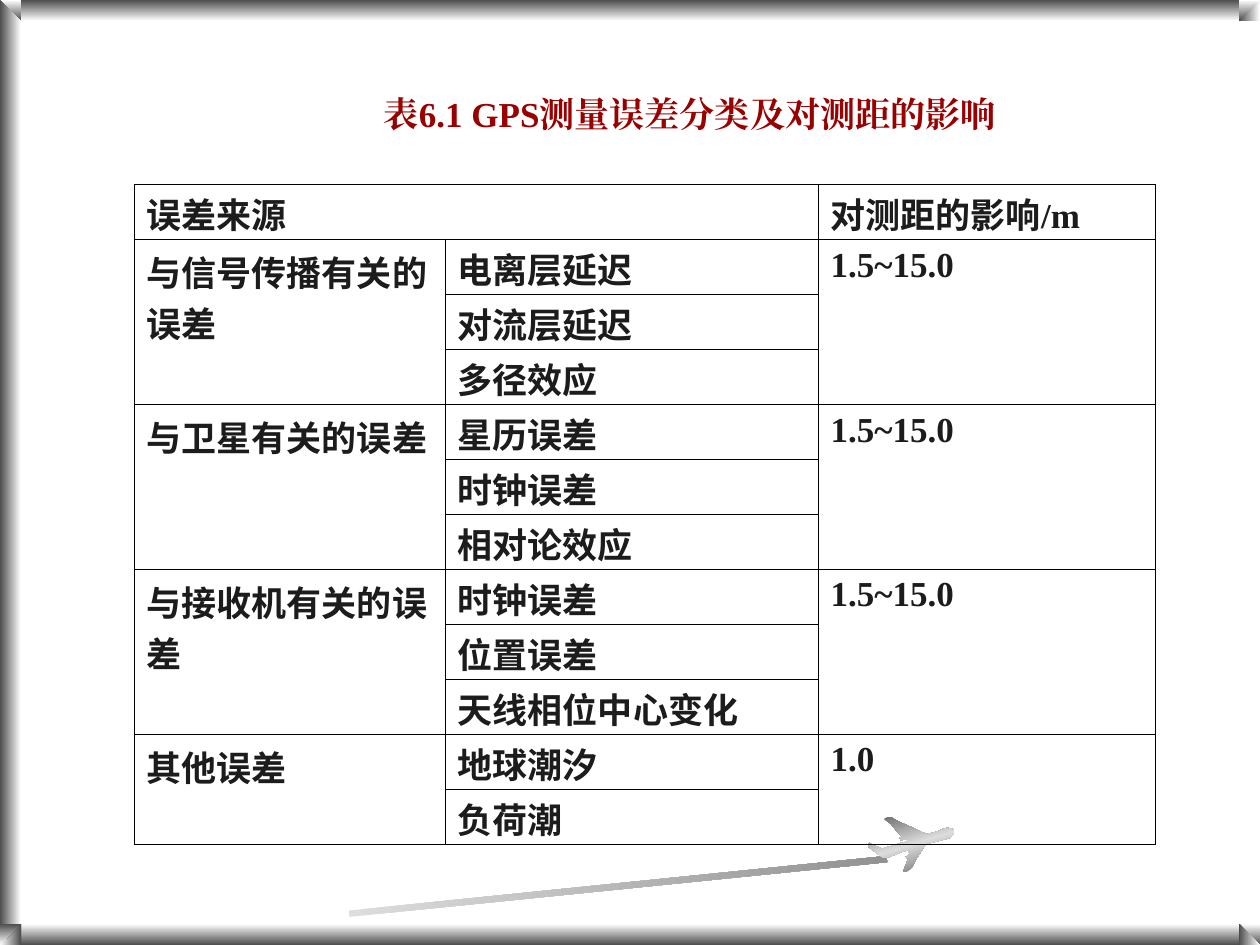
from lxml.etree import SubElement
from pptx import Presentation
from pptx.dml.color import RGBColor
from pptx.enum.shapes import MSO_SHAPE as Shape
from pptx.enum.text import MSO_ANCHOR as Anchor, MSO_AUTO_SIZE as AutoSize, PP_ALIGN as Align
from pptx.oxml.ns import qn
from pptx.util import Pt

FONT = "Times New Roman"
INK, RED, DARK, LIGHT = "1C1C1C", "990000", "4D4D4D", "FFFFFF"
WIDTH, HEIGHT, EDGE = 720, 540, 12
RIGHT, BOTTOM = WIDTH - EDGE, HEIGHT - EDGE

TITLE = "表6.1 GPS测量误差分类及对测距的影响"
HEADINGS = ("误差来源", "对测距的影响/m")
GROUPS = [
    ("与信号传播有关的误差", ["电离层延迟", "对流层延迟", "多径效应"], "1.5~15.0"),
    ("与卫星有关的误差", ["星历误差", "时钟误差", "相对论效应"], "1.5~15.0"),
    ("与接收机有关的误差", ["时钟误差", "位置误差", "天线相位中心变化"], "1.5~15.0"),
    ("其他误差", ["地球潮汐", "负荷潮"], "1.0"),
]
COLUMN_WIDTHS = (177.8, 213.1, 193)
ROW_HEIGHT = 31.43

# left, top, width, height, gradient colours, gradient angle
BARS = [
    (0, EDGE, EDGE, HEIGHT - 1.5 * EDGE, (DARK, LIGHT), 0),
    (EDGE, BOTTOM, WIDTH - 2 * EDGE, EDGE, (LIGHT, DARK), 90),
    (0, 0, WIDTH, EDGE, (DARK, LIGHT), 90),
]
# left, top, rotation, flips, gradient colours, gradient angle
CORNERS = [
    (0, 0, 0, "HV", (DARK, LIGHT), 90),
    (0, 0, 0, "", (DARK, LIGHT), 0),
    (RIGHT, 0, 0, "H", (LIGHT, DARK), 0),
    (RIGHT, 0, 0, "V", (DARK, LIGHT), 90),
    (RIGHT, BOTTOM, 270, "H", (LIGHT, DARK), 0),
    (RIGHT, BOTTOM, 270, "V", (LIGHT, DARK), 90),
    (0, BOTTOM, 90, "HV", (LIGHT, DARK), 90),
    (0, BOTTOM, 90, "", (DARK, LIGHT), 0),
]
PLANE_UNIT = 0.72
PLANE = [
    (68, 11), (67, 9), (63, 8), (59, 9), (55, 11), (51, 12), (47, 13), (44, 12),
    (38, 9), (31, 6), (24, 3), (19, 0), (15, 0), (13, 1), (14, 2), (18, 5),
    (22, 10), (27, 15), (25, 16), (26, 18), (31, 17), (31, 19), (26, 20),
    (20, 22), (13, 24), (11, 25), (8, 23), (4, 22), (1, 20), (0, 21), (0, 23),
    (12, 32), (15, 32), (20, 30), (27, 27), (32, 26), (33, 29), (30, 31),
    (31, 33), (32, 32), (28, 42), (28, 43), (30, 43), (33, 41), (35, 39),
    (38, 33), (42, 27), (45, 22), (50, 20), (58, 18), (65, 16), (68, 13),
]


def set_gradient(shape, colours, angle):
    """Fill with evenly spaced colour stops; the angle runs clockwise."""
    shape.shadow.inherit = False
    shape.line.fill.background()
    shape.fill.gradient()
    gradient = shape._element.spPr.find(qn("a:gradFill"))
    stops = gradient.find(qn("a:gsLst"))
    for stop in list(stops):
        stops.remove(stop)
    for index, colour in enumerate(colours):
        position = 100000 * index // (len(colours) - 1)
        stop = SubElement(stops, qn("a:gs"), pos=str(position))
        SubElement(stop, qn("a:srgbClr"), val=colour)
    gradient.find(qn("a:lin")).set("ang", str(angle * 60000))


def add_gradient_shape(slide, kind, box, colours, angle, rotation=0, flips=""):
    shape = slide.shapes.add_shape(kind, *map(Pt, box))
    shape.rotation = rotation
    for axis in flips:
        shape._element.spPr.find(qn("a:xfrm")).set("flip" + axis, "1")
    set_gradient(shape, colours, angle)


def write_text(frame, text, colour=INK, size=20, align=Align.LEFT, after=0):
    frame.word_wrap = True
    paragraph = frame.paragraphs[0]
    paragraph.alignment = align
    paragraph.space_before, paragraph.space_after = Pt(0), Pt(after)
    run = paragraph.add_run()
    run.text = text
    run.font.name, run.font.size, run.font.bold = FONT, Pt(size), True
    run.font.color.rgb = RGBColor.from_string(colour)
    return run


def style_cell(cell):
    properties = cell._tc.get_or_add_tcPr()
    for side in ("lnL", "lnR", "lnT", "lnB"):
        line = SubElement(properties, qn("a:" + side), w=str(Pt(0.45)))
        fill = SubElement(line, qn("a:solidFill"))
        SubElement(fill, qn("a:srgbClr"), val="000000")
    cell.fill.background()


def fill_cell(table, row, column, text, rows=1, columns=1):
    cell = table.cell(row, column)
    if rows * columns > 1:
        cell.merge(table.cell(row + rows - 1, column + columns - 1))
    # One-line rows are tight, so their text gets smaller margins.
    cell.margin_top = Pt(3.6 if rows > 1 else 2)
    cell.margin_bottom = Pt(0)
    cell.vertical_anchor = Anchor.TOP
    write_text(cell.text_frame, text)


def add_error_table(slide):
    row_count = 1 + sum(len(sources) for _, sources, _ in GROUPS)
    frame = slide.shapes.add_table(row_count, 3, Pt(76.6), Pt(105.5),
                                   Pt(sum(COLUMN_WIDTHS)), Pt(ROW_HEIGHT * row_count))
    table = frame.table
    table.first_row = table.horz_banding = False
    for column, width in zip(table.columns, COLUMN_WIDTHS):
        column.width = Pt(width)
    for row in table.rows:
        row.height = Pt(ROW_HEIGHT)
    for cell in table.iter_cells():
        style_cell(cell)
    fill_cell(table, 0, 0, HEADINGS[0], columns=2)
    fill_cell(table, 0, 2, HEADINGS[1])
    top = 1
    for group, sources, effect in GROUPS:
        fill_cell(table, top, 0, group, rows=len(sources))
        fill_cell(table, top, 2, effect, rows=len(sources))
        for offset, source in enumerate(sources):
            fill_cell(table, top + offset, 1, source)
        top += len(sources)


def add_title(slide):
    title = slide.shapes.title
    title.left, title.top, title.width, title.height = map(Pt, (195.8, 49, 396.7, 31.7))
    frame = title.text_frame
    frame.auto_size, frame.vertical_anchor = AutoSize.NONE, Anchor.TOP
    run = write_text(frame, TITLE, colour=RED, align=Align.CENTER, after=6)
    SubElement(run.font._element, qn("a:ea"), typeface=FONT)


def main():
    presentation = Presentation()
    presentation.slide_width, presentation.slide_height = Pt(WIDTH), Pt(HEIGHT)
    slide = presentation.slides.add_slide(presentation.slide_layouts[5])

    for *box, colours, angle in BARS:
        add_gradient_shape(slide, Shape.RECTANGLE, box, colours, angle)
    for left, top, rotation, flips, colours, angle in CORNERS:
        add_gradient_shape(slide, Shape.RIGHT_TRIANGLE, (left, top, EDGE, EDGE),
                           colours, angle, rotation, flips)
    add_gradient_shape(slide, Shape.RECTANGLE, (198.7, 504.7, 308.9, 3.6),
                       ("DDDDDD", "929292"), 0, rotation=354.2)
    builder = slide.shapes.build_freeform(*PLANE[0], scale=Pt(PLANE_UNIT))
    builder.add_line_segments(PLANE[1:], close=True)
    plane = builder.convert_to_shape(Pt(496.1), Pt(467.3))
    set_gradient(plane, ("666666", "DDDDDD", "666666"), 73)

    add_error_table(slide)
    add_title(slide)
    presentation.save("out.pptx")


if __name__ == "__main__":
    main()
